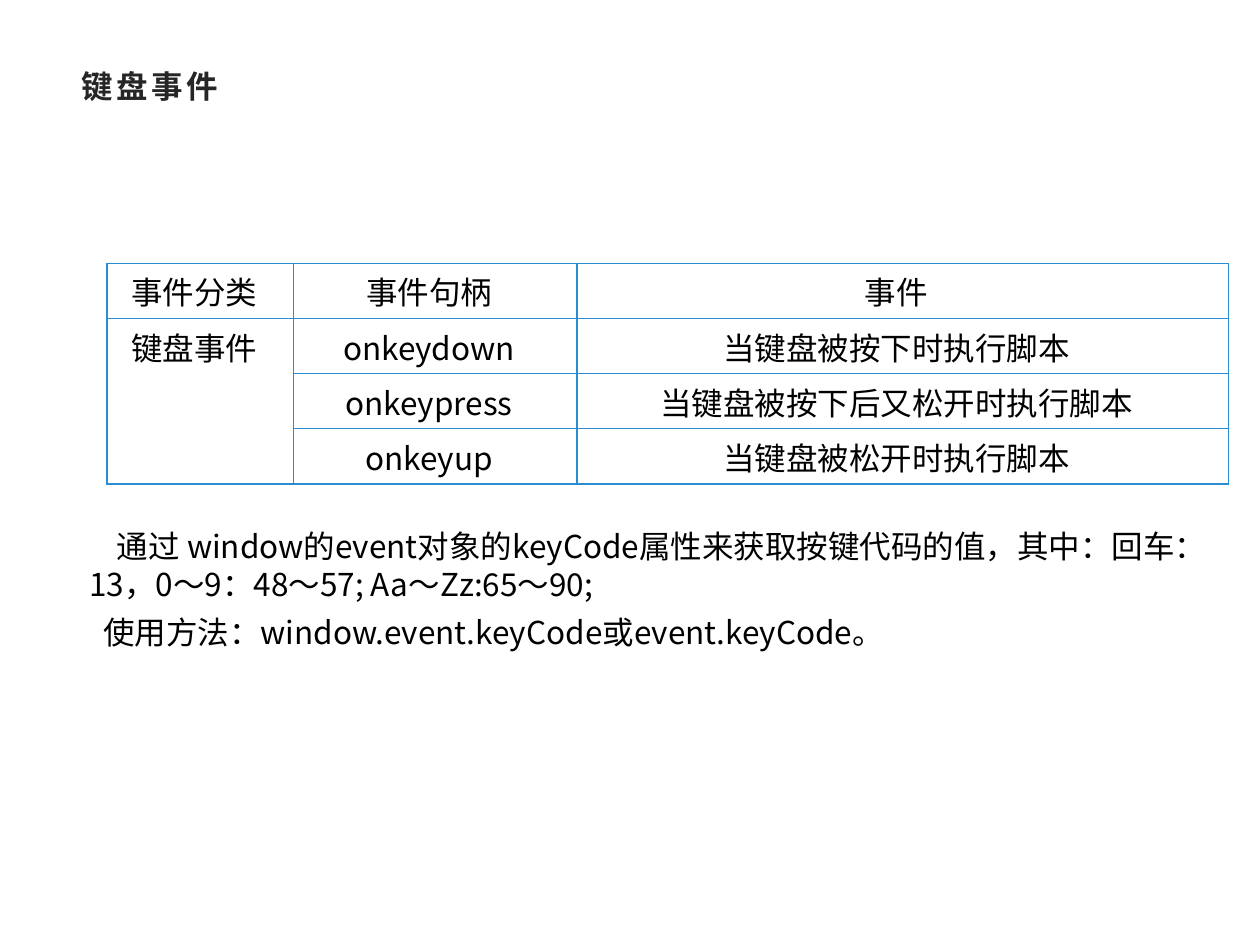
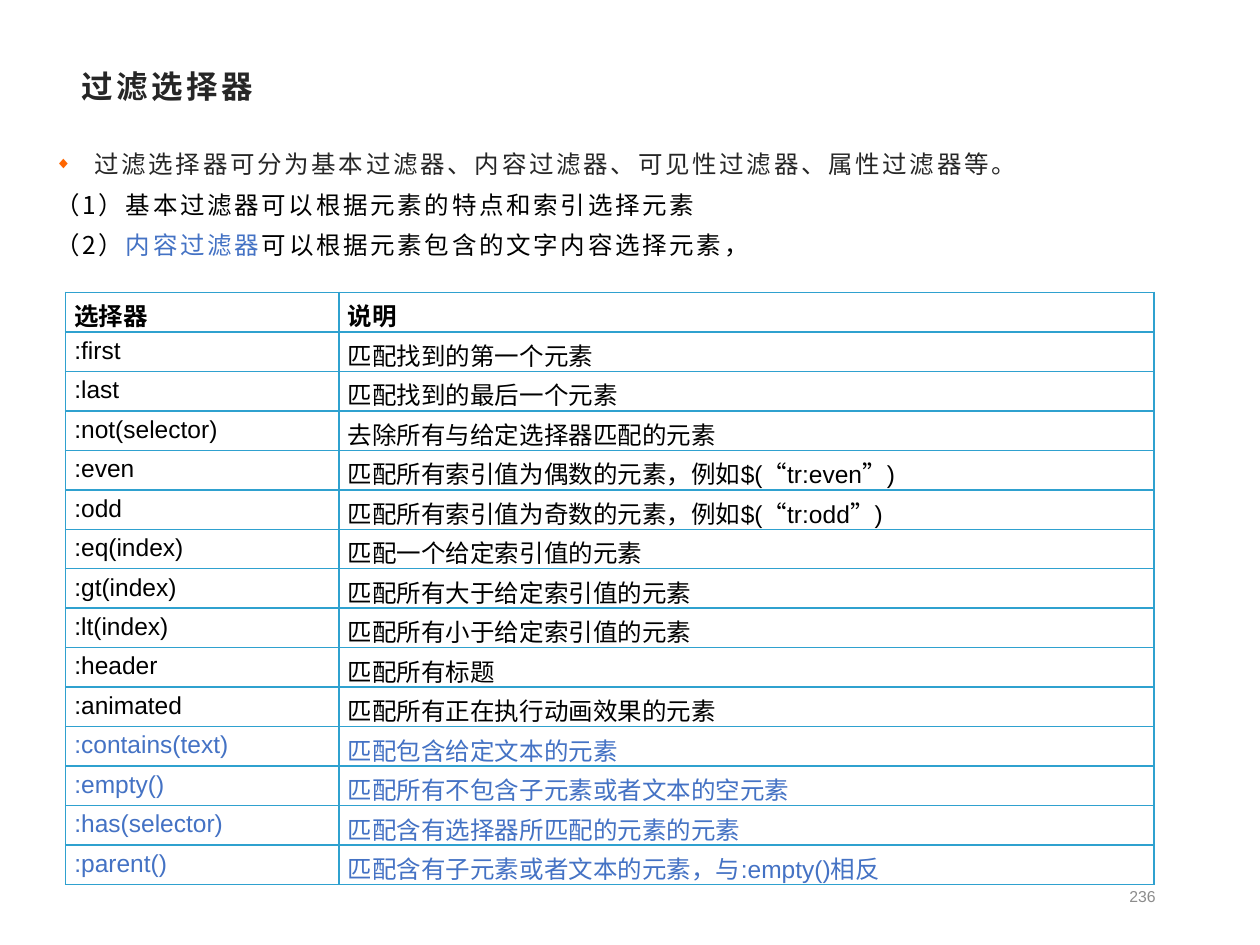
"""Build two slides on keyboard events and filter selectors."""
from dataclasses import dataclass

from lxml.etree import SubElement
from pptx import Presentation
from pptx.dml.color import RGBColor
from pptx.enum.shapes import MSO_SHAPE as Preset
from pptx.enum.text import MSO_ANCHOR as Anchor, PP_ALIGN as Align
from pptx.oxml.ns import qn
from pptx.util import Inches, Pt

COLORS = {
    "title": "262626", "text": "000000", "accent": "4472C4", "bullet": "FF6600",
    "page": "8C8C8C", "white": "FFFFFF", "event_grid": "2A8DD4", "selector_grid": "2FA1CF",
}
LATIN, CJK = "Arial", "Noto Sans CJK SC"


@dataclass(frozen=True)
class Span:
    """A stretch of text in one colour."""
    text: str
    color: str = "text"


@dataclass(frozen=True)
class Line:
    """A paragraph with its indents and optional bullet."""
    spans: tuple[Span, ...]
    left: float = 0
    first: float = 0
    bullet: str = ""


@dataclass(frozen=True)
class TableStyle:
    """The look shared by all cells of a table."""
    grid: str
    font: str
    size: float
    align: Align
    margins: tuple[float, float]
    bold_header: bool = False


EVENT_STYLE = TableStyle("event_grid", CJK, 18, Align.CENTER, (0, 0.1))
SELECTOR_STYLE = TableStyle("selector_grid", LATIN, 14, Align.LEFT, (0.07, 0.07), True)

EVENT_ROWS = [
    ("事件分类", "事件句柄", "事件"),
    ("键盘事件", "onkeydown", "当键盘被按下时执行脚本"),
    ("", "onkeypress", "当键盘被按下后又松开时执行脚本"),
    ("", "onkeyup", "当键盘被松开时执行脚本"),
]
KEY_CODE_LINES = [
    Line((Span("通过 window的event对象的keyCode属性来获取按键代码的值，其中：回车："
               "13，0～9：48～57; Aa～Zz:65～90;"),), first=0.22),
    Line((Span("使用方法：window.event.keyCode或event.keyCode。"),), first=0.11),
]
FILTER_LINES = [
    Line((Span("过滤选择器可分为基本过滤器、内容过滤器、可见性过滤器、属性过滤器等。", "title"),),
         left=0.31, first=-0.31, bullet="◆"),
    Line((Span("（1）基本过滤器可以根据元素的特点和索引选择元素"),)),
    Line((Span("（2）"), Span("内容过滤器", "accent"),
          Span("可以根据元素包含的文字内容选择元素，"))),
]
BASIC_ROWS = [
    ("选择器", "说明"),
    (":first", "匹配找到的第一个元素"),
    (":last", "匹配找到的最后一个元素"),
    (":not(selector)", "去除所有与给定选择器匹配的元素"),
    (":even", "匹配所有索引值为偶数的元素，例如$(“tr:even”)"),
    (":odd", "匹配所有索引值为奇数的元素，例如$(“tr:odd”)"),
    (":eq(index)", "匹配一个给定索引值的元素"),
    (":gt(index)", "匹配所有大于给定索引值的元素"),
    (":lt(index)", "匹配所有小于给定索引值的元素"),
    (":header", "匹配所有标题"),
    (":animated", "匹配所有正在执行动画效果的元素"),
]
CONTENT_ROWS = [
    (":contains(text)", "匹配包含给定文本的元素"),
    (":empty()", "匹配所有不包含子元素或者文本的空元素"),
    (":has(selector)", "匹配含有选择器所匹配的元素的元素"),
    (":parent()", "匹配含有子元素或者文本的元素，与:empty()相反"),
]


def rgb(name: str) -> RGBColor:
    """Look up a named colour."""
    return RGBColor.from_string(COLORS[name])


def plain(text: str, color: str = "text") -> list[Line]:
    """Wrap a string as a single plain paragraph."""
    return [Line((Span(text, color),))]


def add_bullet(properties, character: str) -> None:
    """Give a paragraph a small coloured bullet."""
    color = SubElement(properties, qn("a:buClr"))
    SubElement(color, qn("a:srgbClr"), val=COLORS["bullet"])
    SubElement(properties, qn("a:buSzPct"), val="68000")
    SubElement(properties, qn("a:buFont"), typeface=LATIN)
    SubElement(properties, qn("a:buChar"), char=character)


def write_text(frame, lines: list[Line], *, size: float, font: str = LATIN,
               bold: bool = False, align: Align = Align.LEFT, tracking: float = 0,
               line_spacing: float = 1, after: float = 0) -> None:
    """Fill a text frame with formatted paragraphs."""
    frame.word_wrap = True
    for index, line in enumerate(lines):
        paragraph = frame.add_paragraph() if index else frame.paragraphs[0]
        paragraph.alignment = align
        paragraph.line_spacing = line_spacing
        paragraph.space_after = Pt(after)
        properties = paragraph._p.get_or_add_pPr()
        properties.set("marL", str(Inches(line.left)))
        properties.set("indent", str(Inches(line.first)))
        if line.bullet:
            add_bullet(properties, line.bullet)
        for span in line.spans:
            run = paragraph.add_run()
            run.text = span.text
            run.font.size = Pt(size)
            run.font.bold = bold
            run.font.color.rgb = rgb(span.color)
            run.font.name = font
            run_properties = run._r.get_or_add_rPr()
            run_properties.set("spc", str(round(tracking * 100)))
            SubElement(run_properties, qn("a:ea"), typeface=CJK)


def add_text_box(slide, left: float, top: float, width: float, height: float,
                 lines: list[Line], *, anchor: Anchor = Anchor.TOP, **text_format) -> None:
    """Place a wrapped text box."""
    box = slide.shapes.add_textbox(Inches(left), Inches(top), Inches(width), Inches(height))
    box.text_frame.vertical_anchor = anchor
    write_text(box.text_frame, lines, **text_format)


def add_titled_slide(presentation, title: str):
    """Add a blank slide carrying the shared title style."""
    slide = presentation.slides.add_slide(presentation.slide_layouts[6])
    add_text_box(slide, 0.55, 0.48, 8.9, 0.48, plain(title, "title"),
                 size=18, bold=True, tracking=2)
    return slide


def style_cell(cell, style: TableStyle) -> None:
    """Set the borders, margins and empty fill of a cell."""
    properties = cell._tc.get_or_add_tcPr()
    for side in ("lnL", "lnR", "lnT", "lnB"):
        border = SubElement(properties, qn(f"a:{side}"), w=str(Pt(1)))
        fill = SubElement(border, qn("a:solidFill"))
        SubElement(fill, qn("a:srgbClr"), val=COLORS[style.grid])
    cell.fill.background()
    cell.margin_left, cell.margin_right = map(Inches, style.margins)
    cell.margin_top = cell.margin_bottom = Inches(0.04)


def add_grid(slide, left: float, top: float, widths: list[float], height: float,
             rows: list[tuple[str, ...]], style: TableStyle, accent_from: int | None = None):
    """Add a table with equal rows, accenting those from a given index."""
    table = slide.shapes.add_table(len(rows), len(widths), Inches(left), Inches(top),
                                   Inches(sum(widths)), Inches(height)).table
    table.first_row = table.horz_banding = False
    for column, width in zip(table.columns, widths):
        column.width = Inches(width)
    for row_index, texts in enumerate(rows):
        table.rows[row_index].height = Inches(height / len(rows))
        accented = accent_from is not None and row_index >= accent_from
        for column_index, text in enumerate(texts):
            cell = table.cell(row_index, column_index)
            style_cell(cell, style)
            if text:
                write_text(cell.text_frame, plain(text, "accent" if accented else "text"),
                           size=style.size, font=style.font, align=style.align,
                           bold=style.bold_header and row_index == 0)
    return table


def build_keyboard_slide(presentation) -> None:
    """Build the slide on keyboard events."""
    slide = add_titled_slide(presentation, "键盘事件")
    table = add_grid(slide, 0.85, 2.09, [1.48, 2.25, 5.17], 1.75, EVENT_ROWS, EVENT_STYLE)
    table.cell(1, 0).merge(table.cell(3, 0))
    panel = slide.shapes.add_shape(Preset.RECTANGLE, Inches(0.61), Inches(4.13),
                                   Inches(9.22), Inches(1.09))
    panel.shadow.inherit = False
    panel.fill.solid()
    panel.fill.fore_color.rgb = rgb("white")
    panel.line.color.rgb = rgb("white")
    panel.line.width = Pt(3)
    panel.text_frame.vertical_anchor = Anchor.MIDDLE
    write_text(panel.text_frame, KEY_CODE_LINES, size=18, font=CJK, after=6)


def build_selector_slide(presentation) -> None:
    """Build the slide on filter selectors."""
    slide = add_titled_slide(presentation, "过滤选择器")
    add_text_box(slide, 0.34, 1.09, 9, 1.03, FILTER_LINES, size=14, font=CJK,
                 tracking=1.5, line_spacing=1.2, after=3)
    add_text_box(slide, 7.06, 6.94, 2.21, 0.35, plain("236", "page"),
                 anchor=Anchor.MIDDLE, size=9, align=Align.RIGHT)
    add_grid(slide, 0.52, 2.32, [2.17, 6.47], 4.63, BASIC_ROWS + CONTENT_ROWS,
             SELECTOR_STYLE, accent_from=len(BASIC_ROWS))


def main() -> None:
    """Create and save the presentation."""
    presentation = Presentation()
    presentation.slide_width, presentation.slide_height = Inches(10), Inches(7.5)
    build_keyboard_slide(presentation)
    build_selector_slide(presentation)
    presentation.save("out.pptx")


if __name__ == "__main__":
    main()
